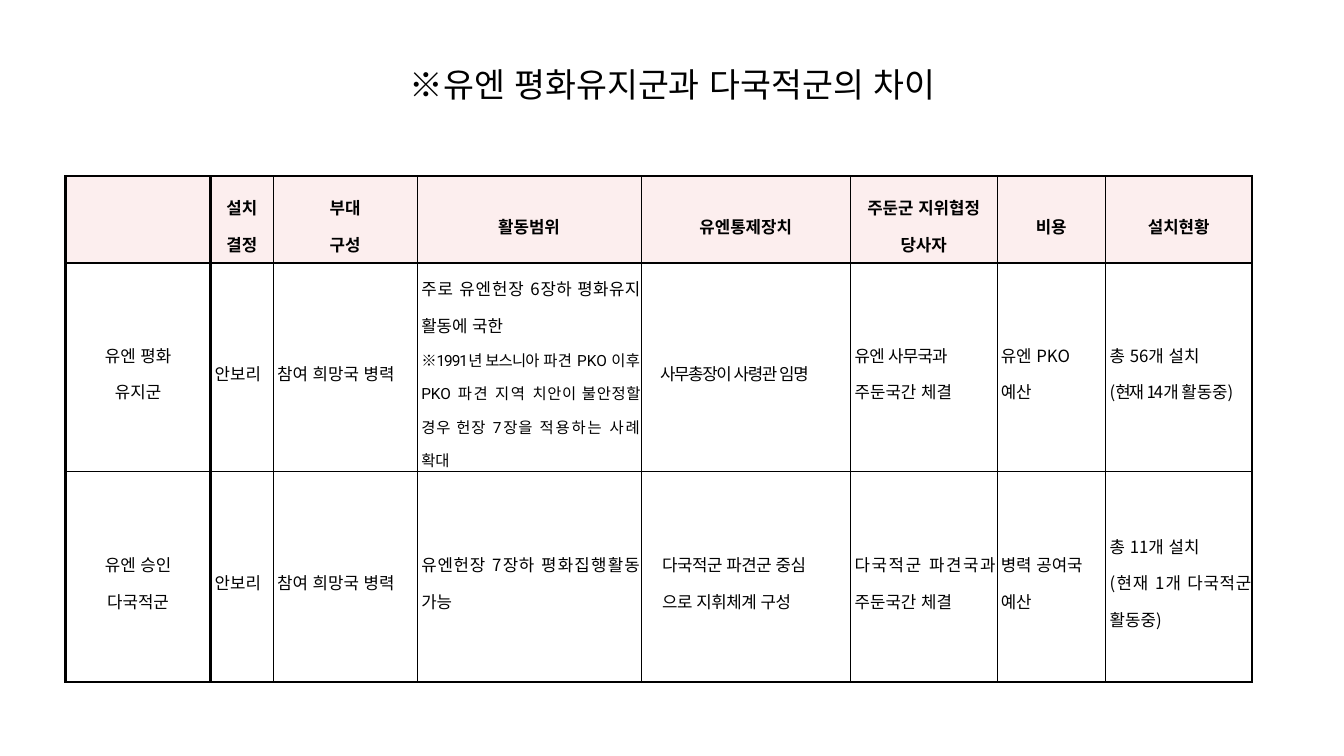
from dataclasses import dataclass

from lxml import etree
from pptx import Presentation
from pptx import util as u
from pptx.dml import color as c
from pptx.enum import lang, text
from pptx.oxml import ns

Pt = u.Pt
MID = text.PP_ALIGN.CENTER
JUST = text.PP_ALIGN.JUSTIFY


@dataclass(frozen=True)
class Theme:
    ink: str = "000000"
    head: str = "FCEEEE"
    font: str = "Noto Sans CJK KR"
    latin: str = "Roboto"
    title: float = 24
    body: float = 12
    note: float = 11
    thin: float = 0.28
    edge: float = 1.7
    rule: float = 1.98


T = Theme()


@dataclass(frozen=True)
class Run:
    words: str
    gap: float = 0
    size: float = T.body
    font: str = T.font


@dataclass(frozen=True)
class Cell:
    paras: tuple[tuple[Run, ...], ...] = ()
    left: float = 2.16
    hang: float = 0


def cell(*lines: str, gap: float = 0, left: float = 2.16, hang: float = 0) -> Cell:
    return Cell(tuple((Run(s, gap),) for s in lines), left, hang)


def note(words: str, gap: float = 0, font: str = T.font) -> Run:
    return Run(words, gap, T.note, font)


# Table content
WIDTHS = (103.68, 44.64, 102.96, 159.84, 149.76, 104.4, 77.76, 104.4)
HEIGHTS = (61.92, 148.32, 151.2)
SCOPE = Cell((
    (Run("주로 유엔헌장 "), Run("6장하 평화유지 ", -0.3), Run("활동에 국한")),
    (note("※"), note("1991", -0.8, T.latin), note("년 보스니아 ", -0.8),
     note("파견 "), note("PKO ", font=T.latin), note("이후 "),
     note("PKO ", font=T.latin), note("파견 지역 "),
     note("치안이 불안정할 ", -0.6), note("경우 헌장 ", -0.7),
     note("7", -0.7, T.latin), note("장을 ", -0.7), note("적용하는 사례 확대")),
))
ROWS = (
    (Cell(), cell("설치", "결정"), cell("부대", "구성"), cell("활동범위"),
     cell("유엔통제장치"), cell("주둔군 지위협정 당사자"), cell("비용"), cell("설치현황")),
    (cell("유엔 평화", "유지군"), cell("안보리"), cell("참여 희망국 병력"), SCOPE,
     cell("사무총장이 사령관 임명", gap=-1, left=23.76, hang=-10.8),
     Cell(((Run("유엔 사무국과", -0.5),), (Run("주둔국간 체결"),))),
     cell("유엔 PKO", "예산"),
     Cell(((Run("총 56개 설치"),), (Run("(현재 14개 ", -1.5), Run("활동중)"))))),
    (cell("유엔 승인", "다국적군"), cell("안보리"), cell("참여 희망국 병력"),
     Cell(((Run("유엔헌장 7장하 ", -0.3), Run("평화집행활동 가능")),)),
     cell("다국적군 파견군 중심", "으로 지휘체계 구성", gap=-0.3, left=26.64, hang=-12.24),
     cell("다국적군 파견국과 주둔국간 체결"), cell("병력 공여국", "예산"),
     Cell(((Run("총 11개 설치"),), (Run("(현재 1개 다국적군 ", -0.4), Run("활동중)"))))),
)


def apply(item: object, form: dict) -> None:
    for key, value in form.items():
        setattr(item, key, value)


def write(para, runs: tuple[Run, ...], bold: bool = False) -> None:
    for part in runs:
        run = para.add_run()
        run.text = part.words
        apply(run.font, {"size": Pt(part.size), "bold": bold, "name": part.font,
                         "language_id": lang.MSO_LANGUAGE_ID.KOREAN})
        run.font.color.rgb = c.RGBColor.from_string(T.ink)
        props = run.font._element
        # East Asian face and letter spacing
        props.find(ns.qn("a:latin")).addnext(
            etree.Element(ns.qn("a:ea"), typeface=T.font))
        if part.gap:
            props.set("spc", str(round(part.gap * 100)))


def border(box, sides: dict[str, float]) -> None:
    props = box._tc.get_or_add_tcPr()
    for side, width in sides.items():
        line = etree.SubElement(props, ns.qn(f"a:ln{side}"), w=str(Pt(width)))
        fill = etree.SubElement(line, ns.qn("a:solidFill"))
        etree.SubElement(fill, ns.qn("a:srgbClr"), val=T.ink)


def weight(pos: int, count: int) -> float:
    """Width of a grid line: outer edge, rule after the headings, or thin."""
    return T.edge if pos in (0, count) else T.rule if pos == 1 else T.thin


def fill_cell(box, data: Cell, row: int, col: int) -> None:
    rows, cols = len(HEIGHTS), len(WIDTHS)
    border(box, {"L": weight(col, cols), "R": weight(col + 1, cols),
                 "T": weight(row, rows), "B": weight(row + 1, rows)})
    if row == 0:
        box.fill.solid()
        box.fill.fore_color.rgb = c.RGBColor.from_string(T.head)
    else:
        box.fill.background()
    sides = ("left", "right", "top", "bottom")
    apply(box, {f"margin_{side}": Pt(0.72) for side in sides})
    box.vertical_anchor = text.MSO_ANCHOR.MIDDLE
    centred = row == 0 or col == 0
    frame = box.text_frame
    for i, runs in enumerate(data.paras):
        para = frame.add_paragraph() if i else frame.paragraphs[0]
        apply(para, {"alignment": MID if centred else JUST, "line_spacing": 1.5})
        if not centred:
            props = para._p.get_or_add_pPr()
            props.set("marL", str(Pt(data.left)))
            props.set("indent", str(Pt(data.hang)))
        write(para, runs, row == 0)


def main() -> None:
    deck = Presentation()
    apply(deck, {"slide_width": Pt(960), "slide_height": Pt(540)})
    slide = deck.slides.add_slide(deck.slide_layouts[6])

    # Title
    title = slide.shapes.add_textbox(Pt(66.24), Pt(28.8), Pt(828), Pt(66.24))
    frame = title.text_frame
    apply(frame, {"word_wrap": True, "vertical_anchor": text.MSO_ANCHOR.MIDDLE})
    apply(frame.paragraphs[0], {"alignment": MID, "line_spacing": 0.9})
    write(frame.paragraphs[0], (Run("※유엔 평화유지군과 다국적군의 차이", size=T.title),))

    # Comparison table
    grid = slide.shapes.add_table(
        len(HEIGHTS), len(WIDTHS), Pt(46.8), Pt(126),
        Pt(sum(WIDTHS)), Pt(sum(HEIGHTS))).table
    apply(grid, {"first_row": False, "horz_banding": False})
    for column, width in zip(grid.columns, WIDTHS):
        column.width = Pt(width)
    for r, (height, cells) in enumerate(zip(HEIGHTS, ROWS)):
        grid.rows[r].height = Pt(height)
        for k, data in enumerate(cells):
            fill_cell(grid.cell(r, k), data, r, k)

    deck.save("out.pptx")


if __name__ == "__main__":
    main()
